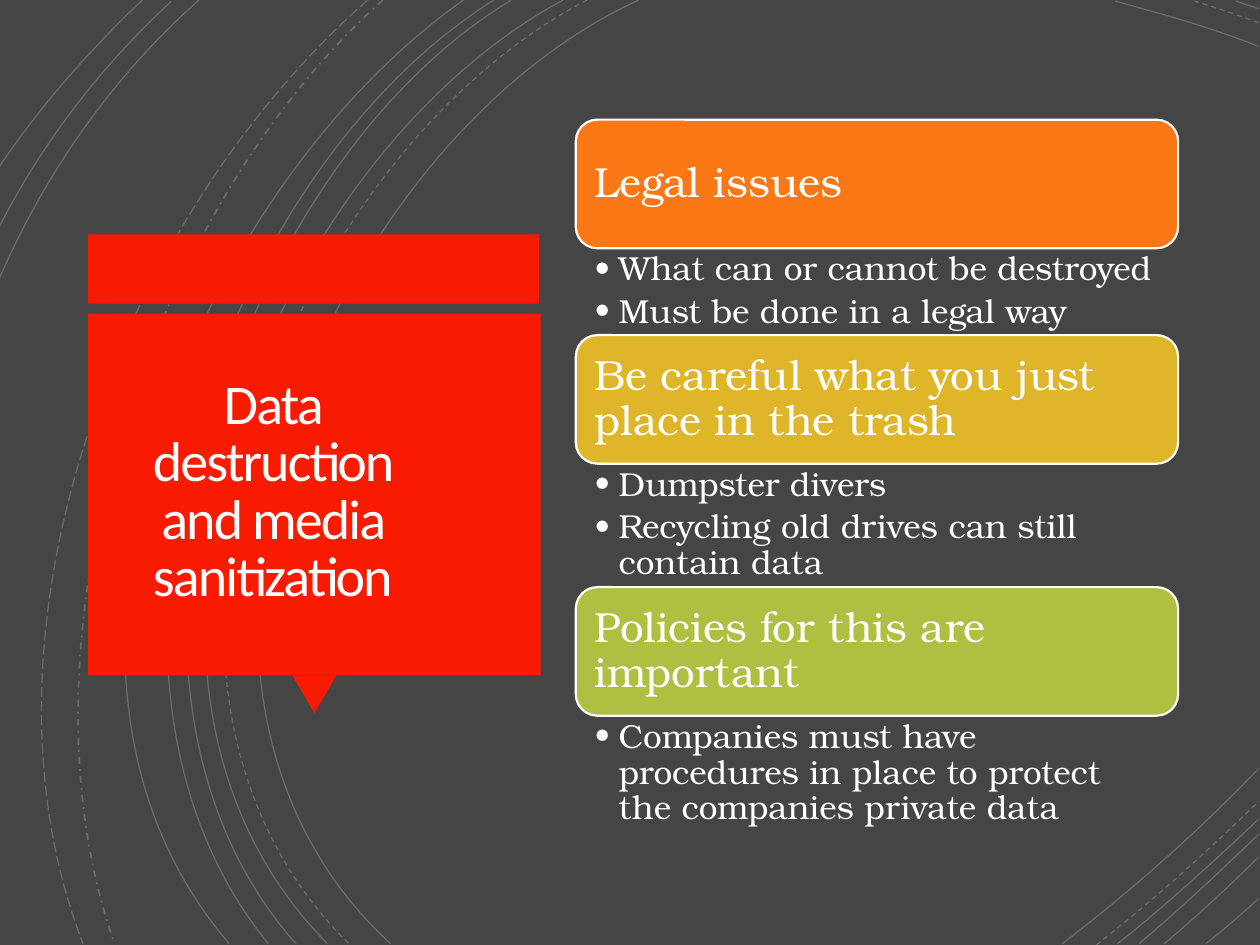
"""Build the slide on data destruction and media sanitization."""
from lxml.etree import SubElement
from pptx import Presentation
from pptx.dml.color import RGBColor
from pptx.enum.dml import MSO_LINE
from pptx.enum.shapes import MSO_SHAPE
from pptx.enum.text import MSO_ANCHOR, PP_ALIGN
from pptx.oxml.ns import qn
from pptx.util import Inches, Pt

THEME = {
    "back": RGBColor.from_string("454545"),
    "white": RGBColor.from_string("FFFFFF"),
    "light": RGBColor.from_string("FFFEFF"),
    "red": RGBColor.from_string("F81B02"),
    "orange": RGBColor.from_string("FC7715"),
    "gold": RGBColor.from_string("DFB62A"),
    "green": RGBColor.from_string("AFBF41"),
    "title": 32, "head": 24, "item": 19,
    "sans": "Calibri", "serif": "TeX Gyre Bonum",
}


def write(place, lines, size, font="serif", color="white", inset=(0.1,) * 4, lead=0.9,
          align=PP_ALIGN.LEFT, anchor=MSO_ANCHOR.MIDDLE, after=0, track=None, bullet=None):
    frame = slide.shapes.add_textbox(*map(Inches, place)).text_frame
    frame.word_wrap = True
    frame.vertical_anchor = anchor
    (frame.margin_left, frame.margin_top,
     frame.margin_right, frame.margin_bottom) = map(Inches, inset)
    for i, line in enumerate(lines):
        para = frame.add_paragraph() if i else frame.paragraphs[0]
        para.alignment, para.line_spacing, para.space_after = align, lead, Pt(after)
        if bullet:
            para.level = 1
            props = para._p.get_or_add_pPr()
            props.set("marL", str(Inches(0.19)))
            props.set("indent", str(-Inches(0.19)))
            SubElement(props, qn("a:buFont")).set("typeface", THEME[font])
            SubElement(props, qn("a:buChar")).set("char", bullet)
        run = para.add_run()
        run.text = line
        run.font.name, run.font.size = THEME[font], Pt(THEME[size])
        run.font.color.rgb = THEME[color]
        if track:
            run._r.get_or_add_rPr().set("spc", str(track))


def block(kind, place, fill, edge=None):
    shape = slide.shapes.add_shape(kind, *map(Inches, place))
    shape.shadow.inherit = False
    shape.fill.solid()
    shape.fill.fore_color.rgb = THEME[fill]
    if edge:
        shape.line.color.rgb = THEME["white"]
        shape.line.width = Pt(edge)
    else:
        shape.line.fill.background()
    return shape


deck = Presentation()
deck.slide_width, deck.slide_height = Inches(10), Inches(7.5)
slide = deck.slides.add_slide(deck.slide_layouts[6])
slide.background.fill.solid()
slide.background.fill.fore_color.rgb = THEME["back"]

SOLID, DASH = MSO_LINE.SOLID, MSO_LINE.DASH
arcs = [
    (SOLID, 0.75, (5.07, 0), (2.56, 1.15), (0.83, 5.4), (3.1, 7.49)),
    (SOLID, 0.75, (9.99, 0.37), (9.62, 0.22), (9.22, 0.11), (8.85, 0.01)),
    (SOLID, 0.75, (8.43, 7.49), (8.98, 7.07), (9.51, 6.6), (9.99, 6.1)),
    (DASH, 0.75, (4.66, 0), (2.26, 1.25), (0.63, 5.38), (2.77, 7.49)),
    (DASH, 0.75, (9.99, 0.18), (9.82, 0.12), (9.65, 0.06), (9.48, 0.01)),
    (DASH, 0.75, (8.7, 7.5), (9.15, 7.15), (9.58, 6.76), (9.99, 6.36)),
    (SOLID, 0.75, (4.47, 0), (2.11, 1.27), (0.5, 5.37), (2.6, 7.49)),
    (SOLID, 0.75, (9.99, 0.07), (9.93, 0.05), (9.87, 0.03), (9.81, 0.01)),
    (SOLID, 0.75, (8.87, 7.49), (9.26, 7.18), (9.63, 6.84), (9.99, 6.5)),
    (SOLID, 0.75, (4.06, 0), (1.85, 1.33), (0.5, 5.41), (2.35, 7.49)),
    (SOLID, 0.75, (9.04, 7.49), (9.37, 7.21), (9.68, 6.92), (9.99, 6.62)),
    (SOLID, 0.75, (3.92, 0), (1.72, 1.38), (0.38, 5.34), (2.13, 7.49)),
    (SOLID, 0.75, (9.24, 7.49), (9.5, 7.27), (9.75, 7.04), (9.99, 6.8)),
    (SOLID, 0.75, (3.68, 0), (1.58, 1.47), (-0.07, 5.29), (1.82, 7.49)),
    (SOLID, 0.75, (9.57, 7.49), (9.71, 7.38), (9.85, 7.26), (9.99, 7.13)),
    (MSO_LINE.DASH_DOT, 1, (3.04, 0), (1.17, 1.66), (0.06, 5.09), (0.91, 7.49)),
    (MSO_LINE.LONG_DASH, 0.75, (2.92, 0), (0.98, 1.69), (-0.31, 4.99), (0.66, 7.49)),
    (SOLID, 0.75, (1.58, 0), (0.88, 0.62), (0.35, 1.39), (-0.01, 2.22)),
    (SOLID, 0.75, (1.36, 0.01), (0.79, 0.54), (0.33, 1.14), (-0.01, 1.81)),
    (SOLID, 0.75, (1.13, 0), (0.71, 0.4), (0.32, 0.84), (-0.01, 1.33)),
]
for dash, width, *knots in arcs:
    start, *rest = [(Inches(x), Inches(y)) for x, y in knots]
    pen = slide.shapes.build_freeform(*start)
    pen.add_line_segments(rest, close=False)
    arc = pen.convert_to_shape()
    sides = list(arc._element.iter(qn("a:lnTo")))
    curve = SubElement(sides[0].getparent(), qn("a:cubicBezTo"))
    for side in sides:
        curve.append(side[0])
        side.getparent().remove(side)
    arc.shadow.inherit = False
    arc.fill.background()
    arc.line.color.rgb = THEME["white"]
    arc.line.width, arc.line.dash_style = Pt(width), dash
    tint = arc.line._ln.find(".//" + qn("a:srgbClr"))
    SubElement(tint, qn("a:alpha")).set("val", "20000")

block(MSO_SHAPE.RECTANGLE, (0.7, 1.86, 3.58, 0.55), "red")
block(MSO_SHAPE.ISOSCELES_TRIANGLE, (2.32, 5.36, 0.35, 0.3), "red").rotation = 180
block(MSO_SHAPE.RECTANGLE, (0.7, 2.49, 3.59, 2.87), "red")
write((0.73, 2.57, 2.87, 2.69), ["Data destruction and media sanitization"], "title",
      font="sans", color="light", inset=(0.25,) * 4, lead=0.85, align=PP_ALIGN.CENTER,
      track=-110)

topics = [
    ("orange", 0.69, "Legal issues",
     ["What can or cannot be destroyed", "Must be done in a legal way"]),
    ("gold", 0.98, "Be careful what you just place in the trash",
     ["Dumpster divers", "Recycling old drives can still contain data"]),
    ("green", 0.92, "Policies for this are important",
     ["Companies must have procedures in place to protect the companies private data"]),
]
LEFT, WIDE, TALL, PAD = 4.57, 4.78, 1.02, 0.05
top = 0.95
for fill, depth, head, items in topics:
    block(MSO_SHAPE.ROUNDED_RECTANGLE, (LEFT, top, WIDE, TALL), fill, edge=1.25)
    write((LEFT + PAD, top + PAD, WIDE - 2 * PAD, TALL - 2 * PAD), [head], "head")
    top += TALL
    write((LEFT, top, WIDE, depth), items, "item", inset=(0.15, 0.03, 0.19, 0.03),
          anchor=MSO_ANCHOR.TOP, after=3.8, bullet="•")
    top += depth

deck.save("out.pptx")
